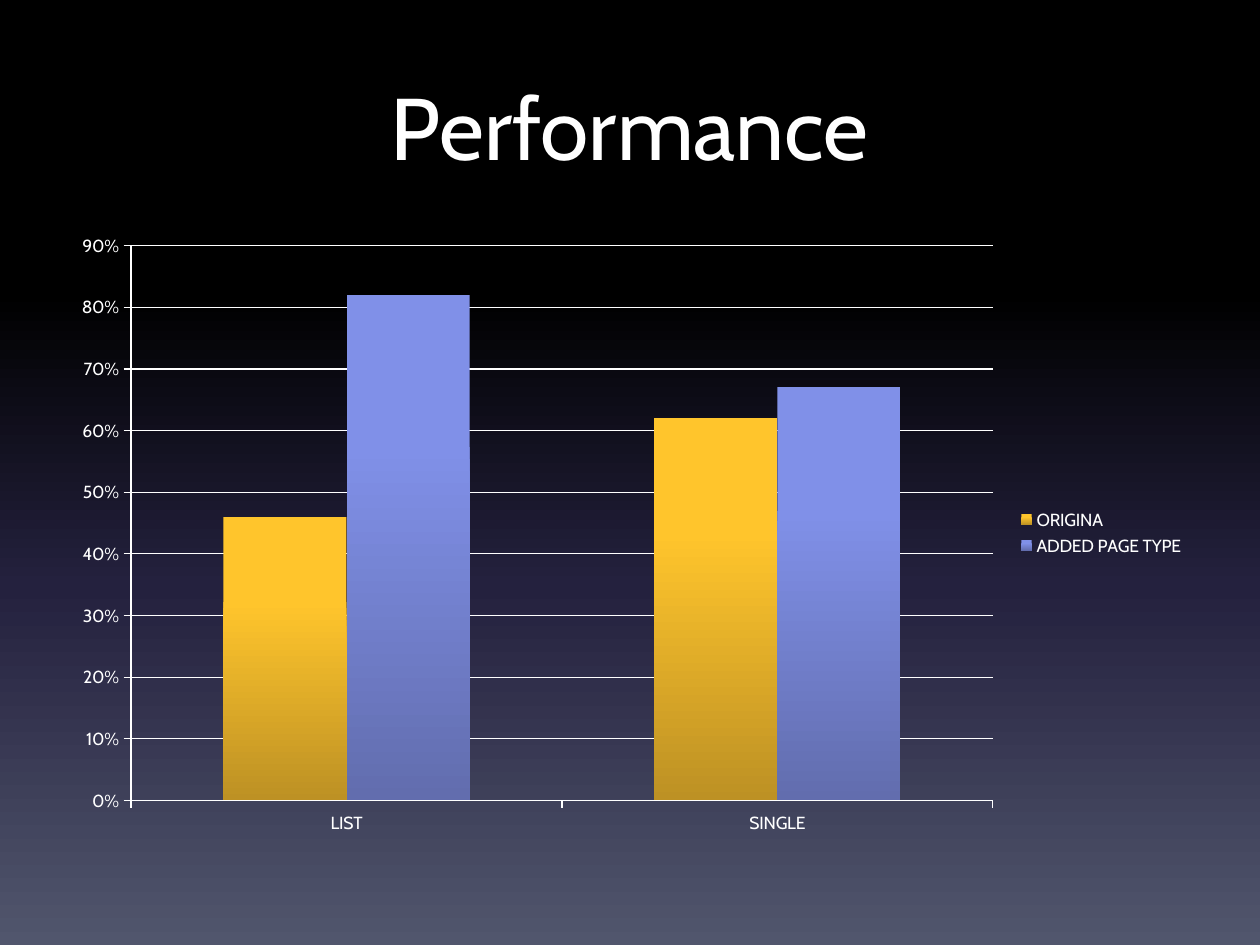
from dataclasses import dataclass

from lxml import etree
from pptx import Presentation
from pptx.chart.data import CategoryChartData
from pptx.dml.color import RGBColor
from pptx.enum.chart import XL_CHART_TYPE, XL_LEGEND_POSITION, XL_TICK_MARK
from pptx.enum.text import MSO_ANCHOR, PP_ALIGN
from pptx.oxml.ns import qn
from pptx.util import Cm, Pt

CLUSTERED = XL_CHART_TYPE.COLUMN_CLUSTERED
LEGEND_RIGHT = XL_LEGEND_POSITION.RIGHT
TICK_OUTSIDE = XL_TICK_MARK.OUTSIDE
TICK_NONE = XL_TICK_MARK.NONE
ANCHOR_TOP = MSO_ANCHOR.TOP
CENTER = PP_ALIGN.CENTER

FONT = "Cabin"
WHITE = "FFFFFF"
DOWNWARD = 270
BACKGROUND_STOPS = ((0, "000000"), (31, "000000"), (62, "24213E"), (100, "51566D"))
CATEGORIES = ("LIST", "SINGLE")
PLOT_LAYOUT = {"x": 0.06, "y": 0.04, "w": 0.76, "h": 0.89}


@dataclass(frozen=True)
class PerformanceSeries:
    name: str
    values: tuple
    top: str
    bottom: str


SERIES = (
    PerformanceSeries("ORIGINA", (0.46, 0.62), "FFC52C", "BD9124"),
    PerformanceSeries("ADDED PAGE TYPE", (0.82, 0.67), "8090E8", "626DAE"),
)


def rgb(color: str) -> RGBColor:
    return RGBColor.from_string(color)


def style_font(font, size: float) -> None:
    font.name = FONT
    font.size = Pt(size)
    font.color.rgb = rgb(WHITE)


def fill_gradient(fill, element, stops) -> None:
    fill.gradient()
    fill.gradient_angle = DOWNWARD
    stop_list = next(element.iter(qn("a:gsLst")))
    for stop in list(stop_list):
        stop_list.remove(stop)
    for position, color in stops:
        stop = etree.SubElement(stop_list, qn("a:gs"), pos=str(position * 1000))
        etree.SubElement(stop, qn("a:srgbClr"), val=color)


def style_line(line) -> None:
    line.color.rgb = rgb(WHITE)
    line.width = Pt(0.75)


def place_plot(chart) -> None:
    plot_area = next(chart.element.iter(qn("c:plotArea")))
    for layout in plot_area.findall(qn("c:layout")):
        plot_area.remove(layout)
    layout = etree.Element(qn("c:layout"))
    plot_area.insert(0, layout)
    manual = etree.SubElement(layout, qn("c:manualLayout"))
    etree.SubElement(manual, qn("c:layoutTarget"), val="inner")
    for side in "xy":
        etree.SubElement(manual, qn(f"c:{side}Mode"), val="edge")
    for name, value in PLOT_LAYOUT.items():
        etree.SubElement(manual, qn(f"c:{name}"), val=str(value))


def add_title(slide, text: str) -> None:
    shape = slide.shapes.add_textbox(Cm(1.27), Cm(1.27), Cm(22.86), Cm(3.18))
    frame = shape.text_frame
    frame.word_wrap = True
    frame.vertical_anchor = ANCHOR_TOP
    frame.margin_top = Cm(0.2)
    paragraph = frame.paragraphs[0]
    paragraph.text = text
    paragraph.alignment = CENTER
    style_font(paragraph.font, 50)


def add_performance_chart(slide) -> None:
    data = CategoryChartData(number_format="0%")
    data.categories = CATEGORIES
    for entry in SERIES:
        data.add_series(entry.name, entry.values)
    chart = slide.shapes.add_chart(
        CLUSTERED, Cm(1.27), Cm(4.45), Cm(22.86), Cm(12.57), data
    ).chart
    style_font(chart.font, 10)
    chart.has_title = False
    chart.has_legend = True
    chart.legend.position = LEGEND_RIGHT
    chart.legend.include_in_layout = False
    place_plot(chart)

    plot = chart.plots[0]
    plot.gap_width = 150
    plot.overlap = 0
    plot.vary_by_categories = False
    for series, entry in zip(plot.series, SERIES):
        stops = ((0, entry.top), (30, entry.top), (100, entry.bottom))
        fill_gradient(series.format.fill, series._element, stops)

    for axis in (chart.category_axis, chart.value_axis):
        axis.major_tick_mark = TICK_OUTSIDE
        axis.minor_tick_mark = TICK_NONE
        style_line(axis.format.line)
    value_axis = chart.value_axis
    value_axis.minimum_scale = 0
    value_axis.maximum_scale = 0.9
    value_axis.major_unit = 0.1
    value_axis.has_major_gridlines = True
    style_line(value_axis.major_gridlines.format.line)
    value_axis.tick_labels.number_format = "0%"
    value_axis.tick_labels.number_format_is_linked = False


def main() -> None:
    """Build the performance slide."""
    presentation = Presentation()
    presentation.slide_width = Cm(25.4)
    presentation.slide_height = Cm(19.05)
    slide = presentation.slides.add_slide(presentation.slide_layouts[6])
    fill_gradient(slide.background.fill, slide.element, BACKGROUND_STOPS)
    add_title(slide, "Performance")
    add_performance_chart(slide)
    presentation.save("out.pptx")


if __name__ == "__main__":
    main()
